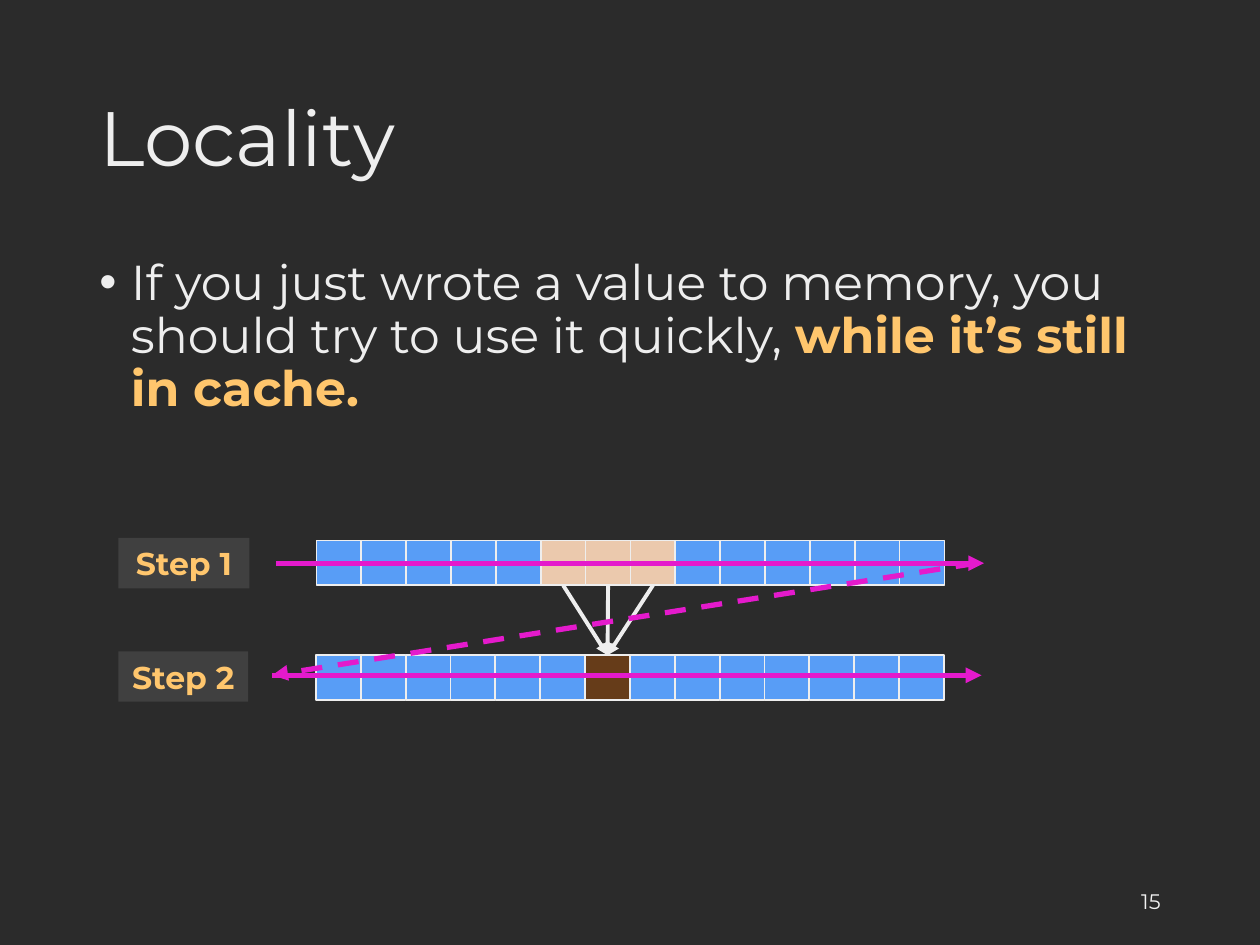
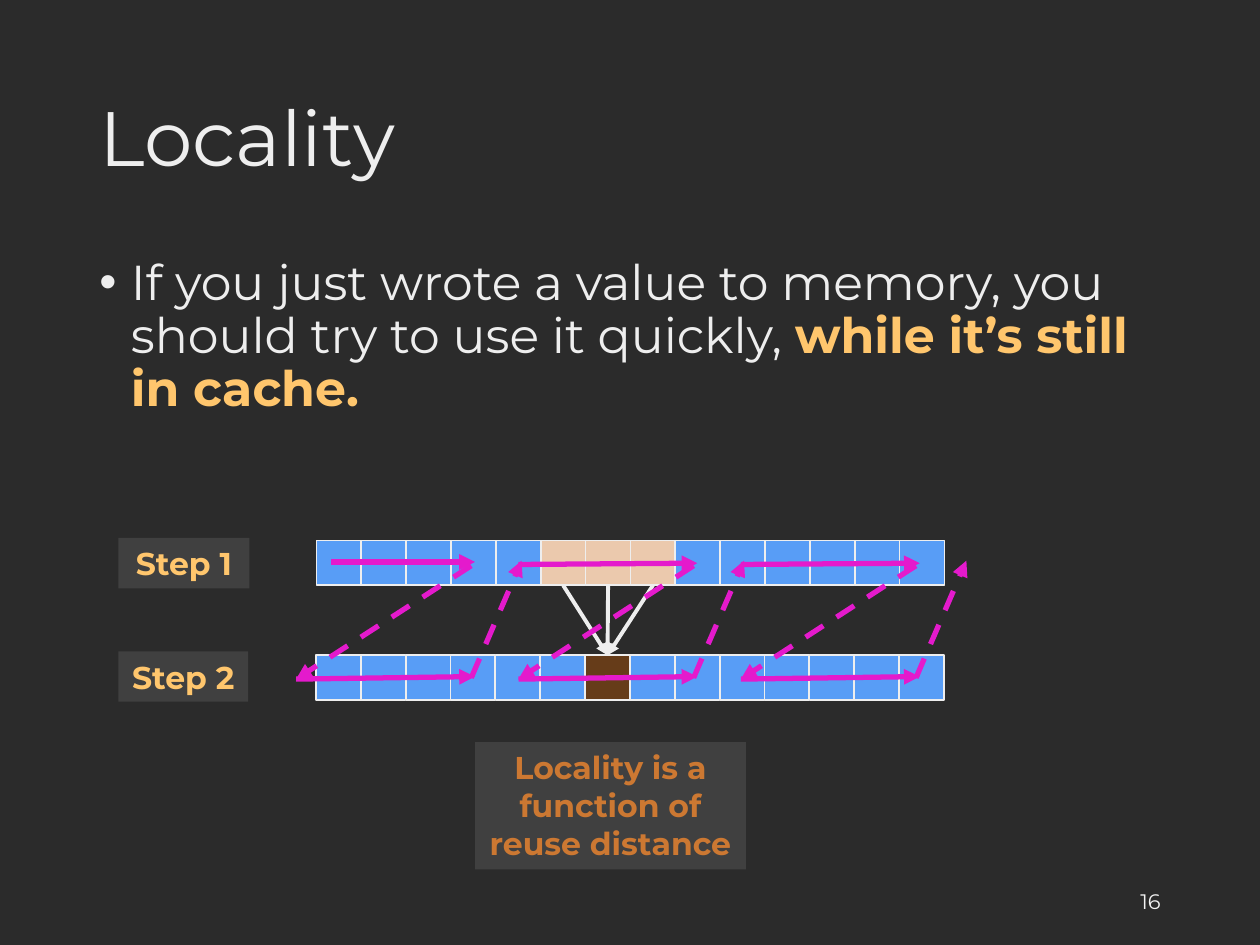
from dataclasses import dataclass
from lxml.etree import SubElement
from pptx import Presentation
from pptx.dml.color import RGBColor
from pptx.enum.dml import MSO_LINE
from pptx.enum.shapes import MSO_CONNECTOR, MSO_SHAPE
from pptx.enum.text import MSO_ANCHOR, PP_ALIGN
from pptx.oxml.ns import qn
from pptx.util import Inches, Pt


@dataclass(frozen=True)
class Theme:
    font: str = "Montserrat"
    back: str = "2B2B2B"
    text: str = "EEEEEE"
    foot: str = "F2F2F2"
    gold: str = "FFC66D"
    rust: str = "CC7832"
    panel: str = "404040"
    blue: str = "589DF6"
    sand: str = "EBC9AD"
    brown: str = "663C19"
    pink: str = "E41ACC"
    head: int = 44
    body: int = 28
    label: int = 18
    small: int = 12
    thin: float = 1
    mid: float = 2.25
    thick: float = 3


COLS, ROWS = 100, 75
CELLS = 14
PITCH = 3.56


def apply(target, form):
    for name, value in form.items():
        setattr(target, name, value)


class Deck:
    def __init__(self, theme):
        self.theme = theme
        self.show = Presentation()
        apply(self.show, {"slide_width": Inches(10), "slide_height": Inches(7.5)})
        self.slide = None

    def place(self, *spans):
        units = self.show.slide_width / COLS, self.show.slide_height / ROWS
        return [round(span * units[i % 2]) for i, span in enumerate(spans)]

    def start(self):
        self.slide = self.show.slides.add_slide(self.show.slide_layouts[6])
        fill = self.slide.background.fill
        fill.solid()
        fill.fore_color.rgb = RGBColor.from_string(self.theme.back)

    def letter(self, shape, runs, size, anchor=MSO_ANCHOR.MIDDLE, bullet=False, **form):
        frame = shape.text_frame
        apply(frame, {"word_wrap": True, "vertical_anchor": anchor})
        para = frame.paragraphs[0]
        if bullet:
            props = para._p.get_or_add_pPr()
            indent = {"marL": Inches(0.25), "indent": Inches(-0.25)}
            for name, value in indent.items():
                props.set(name, str(int(value)))
            SubElement(props, qn("a:buFont"), typeface="Arial")
            SubElement(props, qn("a:buChar"), char="•")
        apply(para, form)
        for words, color, bold in runs:
            run = para.add_run()
            run.text = words
            apply(run.font, {"name": self.theme.font, "size": Pt(size), "bold": bold})
            run.font.color.rgb = RGBColor.from_string(color)

    def text(self, area, runs, size, **form):
        shape = self.slide.shapes.add_textbox(*self.place(*area))
        self.letter(shape, runs, size, **form)

    def box(self, area, color, edge=None):
        shape = self.slide.shapes.add_shape(MSO_SHAPE.RECTANGLE, *self.place(*area))
        shape.shadow.inherit = False
        shape.fill.solid()
        shape.fill.fore_color.rgb = RGBColor.from_string(color)
        if edge:
            shape.line.color.rgb = RGBColor.from_string(edge)
            shape.line.width = Pt(self.theme.thin)
        else:
            shape.line.fill.background()
        return shape

    def label(self, area, words, color):
        shape = self.box(area, self.theme.panel)
        self.letter(shape, [(words, color, True)], self.theme.label,
                    anchor=MSO_ANCHOR.TOP, alignment=PP_ALIGN.CENTER)

    def arrow(self, ends, color, width, dash=False, joins=None):
        line = self.slide.shapes.add_connector(MSO_CONNECTOR.STRAIGHT, *self.place(*ends))
        if joins:
            line.begin_connect(joins[0], 2)
            line.end_connect(joins[1], 0)
        line.line.color.rgb = RGBColor.from_string(color)
        line.line.width = Pt(width)
        if dash:
            line.line.dash_style = MSO_LINE.DASH
        props = line.element.spPr
        SubElement(props.find(qn("a:ln")), qn("a:tailEnd"), type="triangle")
        SubElement(props, qn("a:effectLst"))

    def trace(self, ends, dash=False):
        self.arrow(ends, self.theme.pink, self.theme.thick, dash)

    def strip(self, left, top, marks):
        look = self.theme
        return [self.box((left + i * PITCH, top, PITCH, PITCH),
                         marks.get(i, look.blue), look.text) for i in range(CELLS)]

    def base(self, number):
        look = self.theme
        self.start()
        self.text((6.9, 4, 86.2, 14.5), [("Locality", look.text, False)],
                  look.head, line_spacing=0.9)
        self.text((6.9, 20, 86.2, 47.6), [
            ("If you just wrote a value to memory, you should try to use it quickly, ",
             look.text, False),
            ("while it’s still in cache.", look.gold, True),
        ], look.body, anchor=MSO_ANCHOR.TOP, bullet=True, line_spacing=0.9)
        self.text((70.6, 69.5, 22.5, 4), [(str(number), look.foot, False)],
                  look.small, alignment=PP_ALIGN.RIGHT)
        reads = range(5, 8)
        source = self.strip(25.12, 42.9, dict.fromkeys(reads, look.sand))
        target = self.strip(25.08, 52, {6: look.brown})[6]
        for i in reads:
            self.arrow((0, 0, 0, 0), look.text, look.mid, joins=(source[i], target))
        self.label((9.4, 42.7, 10.4, 4), "Step 1", look.gold)
        self.label((9.4, 51.7, 10.3, 4), "Step 2", look.gold)

    def sweep(self):
        self.trace((21.9, 44.7, 78.1, 44.7))
        self.trace((77.5, 44.7, 21.6, 53.6), dash=True)
        self.trace((21.6, 53.6, 77.9, 53.6))

    def tiles(self):
        for i in range(3):
            x = 23.5 + 17.65 * i
            first = (x, 44.8, x + 14.2, 44.7) if i else (26.3, 44.6, 37.7, 44.6)
            self.trace(first)
            self.trace((x + 13.9, 44.9, x, 53.9), dash=True)
            self.trace((x, 53.9, x + 14.2, 53.7))
            self.trace((x + 13.9, 53.8, x + 17.9, 44.5), dash=True)
        self.label((37.7, 58.9, 21.5, 10.1),
                   "Locality is a function of reuse distance", self.theme.rust)


def main():
    deck = Deck(Theme())
    for number, draw in enumerate((deck.sweep, deck.tiles), 15):
        deck.base(number)
        draw()
    deck.show.save("out.pptx")


if __name__ == "__main__":
    main()
